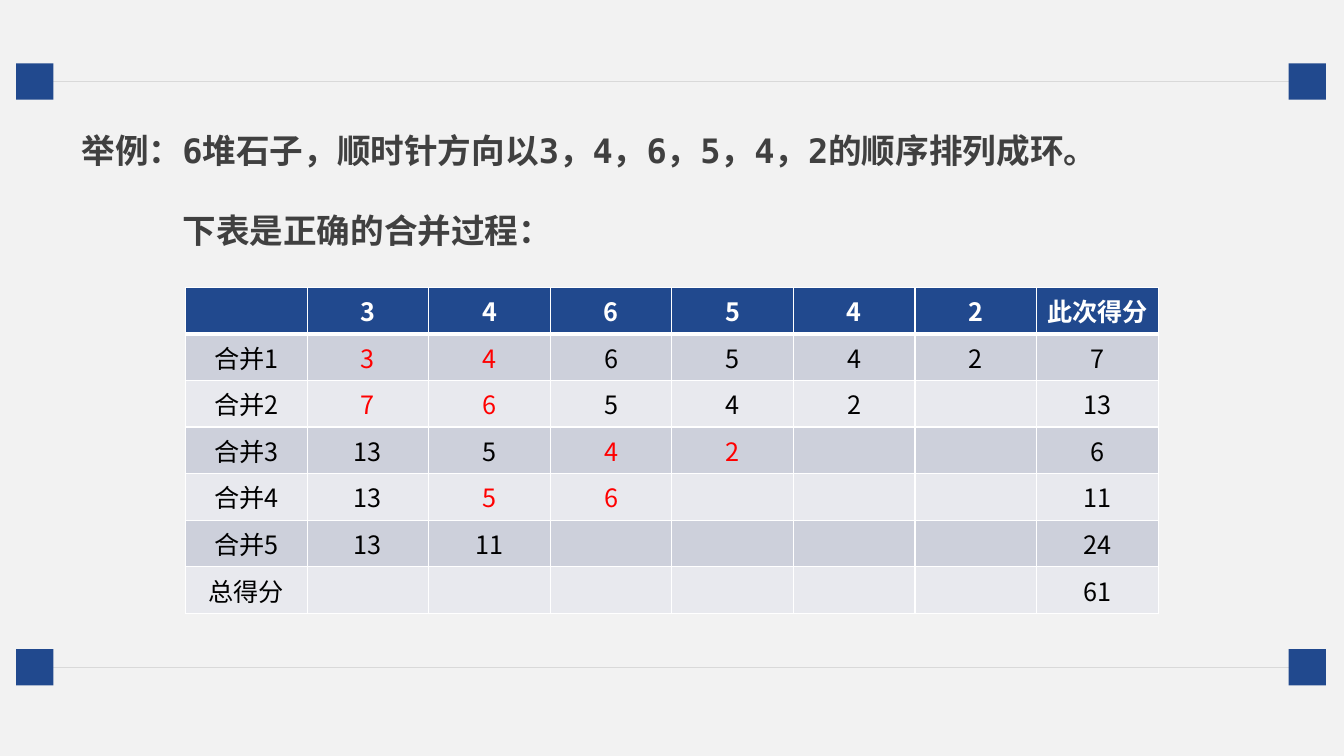
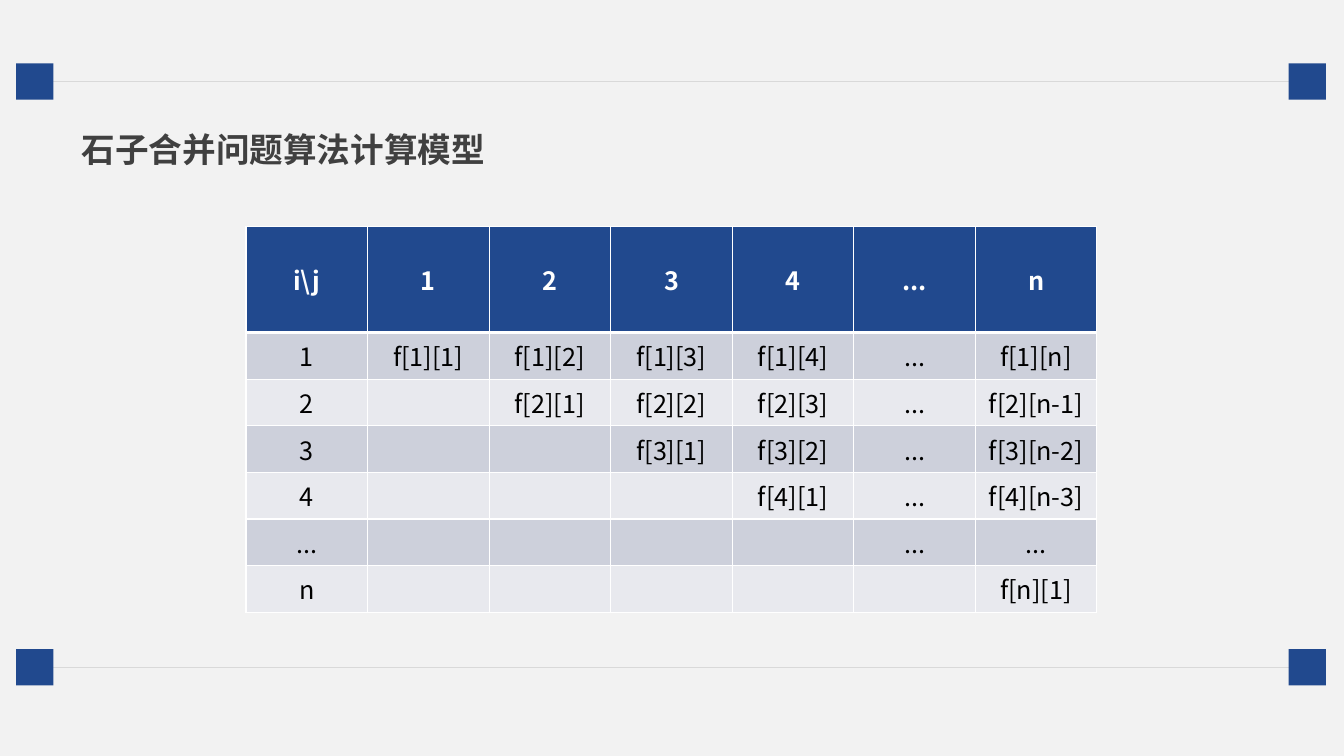
from itertools import product

from lxml.etree import SubElement
from pptx import Presentation
from pptx.dml.color import RGBColor
from pptx.enum.shapes import MSO_CONNECTOR as Connector, MSO_SHAPE as Shape
from pptx.enum.text import MSO_ANCHOR as Anchor, MSO_AUTO_SIZE as AutoSize, PP_ALIGN as Align
from pptx.oxml.ns import qn
from pptx.util import Inches, Pt


def color(hex_code):
    return RGBColor.from_string(hex_code)


class Deck:
    BLUE, BACKDROP, RULE, INK = "21498E", "F2F2F2", "D9D9D9", "404040"
    WHITE, BLACK, RED = "FFFFFF", "000000", "FF0000"
    BANDS = ("CDD0DB", "E8E9EE")
    TITLE_FONT, TABLE_FONT = "DejaVu Sans Mono", "Noto Sans CJK SC"
    ROW_HEIGHT = 0.42

    def __init__(self):
        self.prs = Presentation()
        self.prs.slide_width, self.prs.slide_height = Inches(13.33), Inches(7.5)
        backdrop = self.prs.slide_master.background.fill
        backdrop.solid()
        backdrop.fore_color.rgb = color(self.BACKDROP)

    def new_slide(self):
        self.slide = self.prs.slides.add_slide(self.prs.slide_layouts[5])
        for y in (0.81, 6.62):
            self.rule(0.42, 12.78, y)
        for x, y in product((0.16, 12.78), (0.63, 6.44)):
            self.corner(x, y)

    def rule(self, left, right, y):
        rule = self.slide.shapes.add_connector(
            Connector.STRAIGHT, Inches(left), Inches(y), Inches(right), Inches(y))
        rule.line.color.rgb = color(self.RULE)
        rule.line.width = Pt(0.5)
        SubElement(rule._element.spPr, qn("a:effectLst"))

    def corner(self, x, y):
        corner = self.slide.shapes.add_shape(
            Shape.RECTANGLE, Inches(x), Inches(y), Inches(0.37), Inches(0.36))
        corner.shadow.inherit = False
        corner.fill.solid()
        corner.fill.fore_color.rgb = color(self.BLUE)
        corner.line.fill.background()

    def run(self, paragraph, text, size, font, ink, bold):
        run = paragraph.add_run()
        run.text = text
        run.font.size, run.font.bold, run.font.name = Pt(size), bold, font
        run.font.color.rgb = color(ink)
        SubElement(run._r.get_or_add_rPr(), qn("a:ea")).set("typeface", font)

    def title(self, top, height, heading, subheading=None):
        title = self.slide.shapes.title
        title.left, title.top = Inches(0.71), Inches(top)
        title.width, title.height = Inches(11.91), Inches(height)
        frame = title.text_frame
        frame.word_wrap = True
        frame.auto_size = AutoSize.NONE
        frame.vertical_anchor = Anchor.TOP
        paragraph = frame.paragraphs[0]
        paragraph.alignment = Align.LEFT
        self.run(paragraph, heading, 24, self.TITLE_FONT, self.INK, True)
        if subheading:
            paragraph = frame.add_paragraph()
            paragraph.alignment = Align.LEFT
            paragraph.space_before = Pt(28)
            paragraph._p.get_or_add_pPr().set("marL", str(Inches(1)))
            self.run(paragraph, subheading, 24, self.TITLE_FONT, self.INK, True)

    def borders(self, cell, row):
        widths = {"L": 1, "R": 1, "T": 3 if row == 1 else 1, "B": 3 if row == 0 else 1}
        for side, width in widths.items():
            border = SubElement(cell._tc.get_or_add_tcPr(), qn(f"a:ln{side}"), w=str(Pt(width)))
            fill = SubElement(border, qn("a:solidFill"))
            SubElement(fill, qn("a:srgbClr"), val=self.WHITE)

    def table(self, left, top, width, rows, header_height=ROW_HEIGHT, merged=()):
        height = header_height + self.ROW_HEIGHT * (len(rows) - 1)
        table = self.slide.shapes.add_table(
            len(rows), len(rows[0]), Inches(left), Inches(top), Inches(width), Inches(height)).table
        for r, texts in enumerate(rows):
            header = r == 0
            table.rows[r].height = Inches(header_height if header else self.ROW_HEIGHT)
            for c, text in enumerate(texts):
                cell = table.cell(r, c)
                self.borders(cell, r)
                cell.fill.solid()
                cell.fill.fore_color.rgb = color(self.BLUE if header else self.BANDS[(r - 1) % 2])
                cell.vertical_anchor = Anchor.MIDDLE
                paragraph = cell.text_frame.paragraphs[0]
                paragraph.alignment = Align.CENTER
                paragraph.font.size = Pt(18)
                ink = self.WHITE if header else self.RED if (r, c) in merged else self.BLACK
                if text:
                    self.run(paragraph, text, 18, self.TABLE_FONT, ink, header)


deck = Deck()

deck.new_slide()
piles = ["3", "4", "6", "5", "4", "2"]
steps = [
    (piles, "7"),
    (["7", "6", "5", "4", "2"], "13"),
    (["13", "5", "4", "2"], "6"),
    (["13", "5", "6"], "11"),
    (["13", "11"], "24"),
]
merging = [["", *piles, "此次得分"]]
for number, (left_over, score) in enumerate(steps, 1):
    gaps = [""] * (len(piles) - len(left_over))
    merging.append([f"合并{number}", *left_over, *gaps, score])
merging.append(["总得分", *[""] * len(piles), "61"])
deck.table(1.84, 2.85, 9.65, merging,
           merged={(1, 1), (1, 2), (2, 1), (2, 2), (3, 3), (3, 4), (4, 2), (4, 3)})
deck.title(1.24, 1.31, "举例：6堆石子，顺时针方向以3，4，6，5，4，2的顺序排列成环。",
           "下表是正确的合并过程：")

deck.new_slide()
model = [["i\\j", "1", "2", "3", "4", "...", "n"]]
for i, length in enumerate(["n", "n-1", "n-2", "n-3"], 1):
    chains = [f"f[{i}][{k}]" for k in range(1, 6 - i)]
    model.append([str(i), *[""] * (i - 1), *chains, "...", f"f[{i}][{length}]"])
model.append(["...", *[""] * 4, "...", "..."])
model.append(["n", *[""] * 5, "f[n][1]"])
deck.table(2.44, 2.25, 8.44, model, header_height=1.05)
deck.title(1.23, 0.5, "石子合并问题算法计算模型")

deck.prs.save("out.pptx")
